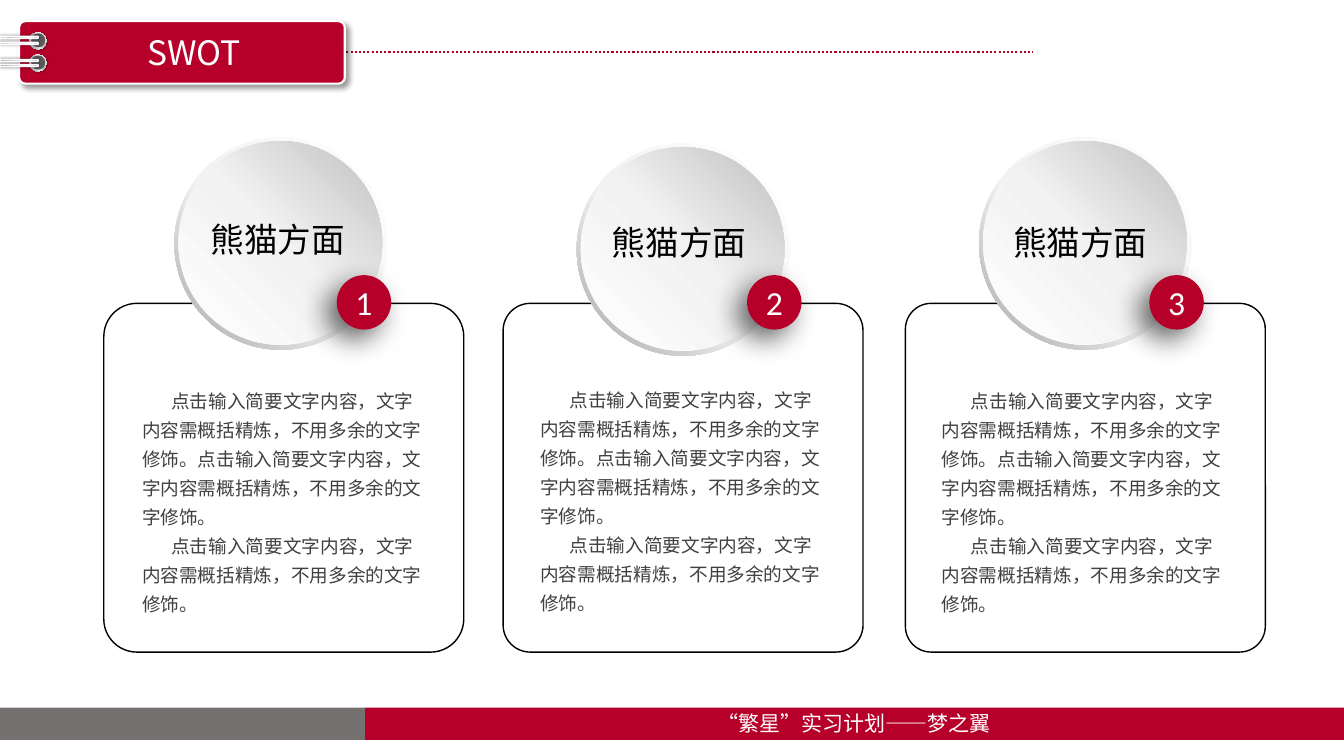
from lxml import etree
from pptx import Presentation
from pptx.dml.color import RGBColor
from pptx.enum import dml, shapes, text
from pptx.oxml import parse_xml
from pptx.oxml.ns import nsdecls, qn
from pptx.util import Inches, Pt

TITLE = "SWOT"
FOOTER = "“繁星”实习计划——梦之翼"
SENTENCE = "点击输入简要文字内容，文字内容需概括精炼，不用多余的文字修饰。"
PARAGRAPHS = [SENTENCE * 2, SENTENCE]
# number, heading, card left, corner, disc top, badge left, heading top, body left and top
CARDS = [
    ("1", "熊猫方面", 1.03, 0.095, 1.36, 3.34, 2.12, 1.41, 3.8),
    ("2", "熊猫方面", 4.99, 0.078, 1.42, 7.41, 2.15, 5.36, 3.79),
    ("3", "熊猫方面", 8.98, 0.074, 1.36, 11.4, 2.15, 9.34, 3.8),
]
DISC_LEFT, DISC_PITCH = 1.73, 3.99
HEADING_LEFT, HEADING_PITCH = 1.99, 3.98
RING_TOPS = [0.54, 0.32]
PIN_TOPS = [0.46, 0.41, 0.24, 0.18]

# Gradients: angle and stops; shadows: opacity %, blur, distance, direction
RIM = (135, [(0, "FFFFFF"), (55, "F2F2F2"), (100, "A6A6A6")])
FACE = (315, [(0, "FFFFFF"), (51, "F2F2F2"), (100, "BFBFBF")])
RING = (45, [(0, "FFFFFF"), (17, "A6A6A6"), (35, "F2F2F2"),
             (55, "A6A6A6"), (75, "F2F2F2"), (100, "A6A6A6")])
PIN = (90, [(0, "808080"), (23, "A6A6A6"), (52, "D9D9D9"),
            (74, "FFFFFF"), (100, "A6A6A6")])
TAG_SHADOW = (40, 4, 3, 45)
RING_SHADOW = (40, 1, 1, 45)
PIN_SHADOW = (40, 2, 0, 0)
BADGE_SHADOW = (60, 20, 10, 135)

RED = RGBColor(0xB6, 0x00, 0x2A)
GREY = RGBColor(0x76, 0x71, 0x71)
HOLE = RGBColor(0x59, 0x59, 0x59)
BODY = RGBColor(0x40, 0x40, 0x40)
WHITE = RGBColor(0xFF, 0xFF, 0xFF)
BLACK = RGBColor(0, 0, 0)
CJK = "Noto Sans CJK SC"
KIND = shapes.MSO_SHAPE

presentation = Presentation()
presentation.slide_width, presentation.slide_height = Inches(13.33), Inches(7.5)
slide = presentation.slides.add_slide(presentation.slide_layouts[5])


def set_gradient(shape, angle, stops):
    stop_xml = "".join(f'<a:gs pos="{place * 1000}"><a:srgbClr val="{colour}"/></a:gs>'
                       for place, colour in stops)
    shape.fill.background()
    no_fill = shape._element.spPr.find(qn("a:noFill"))
    no_fill.getparent().replace(no_fill, parse_xml(
        f'<a:gradFill rotWithShape="1" {nsdecls("a")}><a:gsLst>{stop_xml}</a:gsLst>'
        f'<a:lin ang="{angle * 60000}" scaled="0"/></a:gradFill>'))


def set_shadow(shape, opacity, blur, distance, direction):
    effects = shape._element.spPr.find(qn("a:effectLst"))
    effects.append(parse_xml(
        f'<a:outerShdw {nsdecls("a")} blurRad="{Pt(blur)}" dist="{Pt(distance)}" '
        f'dir="{direction * 60000}" algn="ctr" rotWithShape="0"><a:srgbClr val="000000">'
        f'<a:alpha val="{opacity * 1000}"/></a:srgbClr></a:outerShdw>'))


def add_shape(kind, left, top, width, height, fill=None, line=None,
              line_width=1, corner=None, shadow=None, rotation=0):
    shape = slide.shapes.add_shape(kind, Inches(left), Inches(top),
                                   Inches(width), Inches(height))
    shape.rotation = rotation
    shape.shadow.inherit = False
    if corner is not None:
        shape.adjustments[0] = corner
    if fill is None:
        shape.fill.background()
    elif isinstance(fill, tuple) and not isinstance(fill, RGBColor):
        set_gradient(shape, *fill)
    else:
        shape.fill.solid()
        shape.fill.fore_color.rgb = fill
    if line is None:
        shape.line.fill.background()
    else:
        shape.line.color.rgb = line
        shape.line.width = Pt(line_width)
    if shadow:
        set_shadow(shape, *shadow)
    return shape


def style(paragraph, size, colour, name=CJK, align=text.PP_ALIGN.LEFT):
    paragraph.alignment = align
    font = paragraph.font
    font.size = Pt(size)
    font.color.rgb = colour
    font.name = name
    etree.SubElement(font._element, qn("a:ea")).set("typeface", name)


def add_label(content, left, top, width, height, size, colour, align):
    box = slide.shapes.add_textbox(Inches(left), Inches(top), Inches(width), Inches(height))
    box.text_frame.word_wrap = False
    box.text_frame.text = content
    style(box.text_frame.paragraphs[0], size, colour, align=align)


def add_body(left, top):
    box = slide.shapes.add_textbox(Inches(left), Inches(top), Inches(2.83), Inches(2.33))
    frame = box.text_frame
    frame.word_wrap = True
    frame.margin_left = frame.margin_right = frame.margin_top = frame.margin_bottom = 0
    frame.text = "\n".join(PARAGRAPHS)
    for paragraph in frame.paragraphs:
        paragraph.line_spacing = 1.3
        paragraph._p.get_or_add_pPr().set("indent", str(Inches(0.29)))
        style(paragraph, 13.3, BODY)


# Footer band
add_shape(KIND.RECTANGLE, 3.62, 7.02, 9.71, 0.32, RED)
add_shape(KIND.RECTANGLE, 0, 7.02, 3.62, 0.32, GREY)
add_label(FOOTER, 6.99, 7, 2.97, 0.35, 15, WHITE, text.PP_ALIGN.CENTER)

# Title tag with dotted rule and binder rings
rule = slide.shapes.add_connector(shapes.MSO_CONNECTOR.STRAIGHT, Inches(3.31),
                                  Inches(0.52), Inches(10.24), Inches(0.52))
rule.line.color.rgb = RED
rule.line.width = Pt(1.5)
rule.line.dash_style = dml.MSO_LINE.ROUND_DOT
etree.SubElement(rule._element.spPr, qn("a:effectLst"))
add_shape(KIND.ROUNDED_RECTANGLE, 0.19, 0.21, 3.23, 0.62, RED, WHITE, 1.5, 0.1, TAG_SHADOW)
for top in RING_TOPS:
    add_shape(KIND.OVAL, 0.29, top, 0.17, 0.17, RING, shadow=RING_SHADOW, rotation=270)
    add_shape(KIND.OVAL, 0.31, top + 0.01, 0.14, 0.14, HOLE, rotation=270)
for top in PIN_TOPS:
    add_shape(KIND.ROUNDED_RECTANGLE, 0.18, top, 0.02, 0.38, PIN, WHITE, 1, 0.5,
              PIN_SHADOW, 270)

# Title, brought in front of its tag
title = slide.shapes.title
title.left, title.top, title.width, title.height = map(Inches, (1.33, 0.27, 1.19, 0.5))
title.text_frame.text = TITLE
title.text_frame.word_wrap = False
title.text_frame.auto_size = text.MSO_AUTO_SIZE.NONE
title.text_frame.vertical_anchor = text.MSO_ANCHOR.MIDDLE
style(title.text_frame.paragraphs[0], 24, WHITE, align=text.PP_ALIGN.CENTER)
slide.shapes._spTree.append(title._element)

# Cards
for index, (number, heading, card_left, corner, disc_top, badge_left,
            heading_top, body_left, body_top) in enumerate(CARDS):
    disc_left = DISC_LEFT + DISC_PITCH * index
    add_shape(KIND.ROUNDED_RECTANGLE, card_left, 3.01, 3.57, 3.46, line=BLACK, corner=corner)
    add_shape(KIND.DONUT, disc_left, disc_top, 2.11, 2.11, RIM, corner=0.049)
    add_shape(KIND.OVAL, disc_left + 0.04, disc_top + 0.04, 2.02, 2.02, FACE)
    badge = add_shape(KIND.OVAL, badge_left, 2.73, 0.54, 0.54, RED, shadow=BADGE_SHADOW)
    badge.text_frame.text = number
    badge.text_frame.word_wrap = False
    badge.text_frame.vertical_anchor = text.MSO_ANCHOR.MIDDLE
    style(badge.text_frame.paragraphs[0], 24, WHITE, "Calibri", text.PP_ALIGN.CENTER)
    add_label(heading, HEADING_LEFT + HEADING_PITCH * index, heading_top, 1.55, 0.5,
              24, BLACK, text.PP_ALIGN.LEFT)
    add_body(body_left, body_top)

presentation.save("out.pptx")
